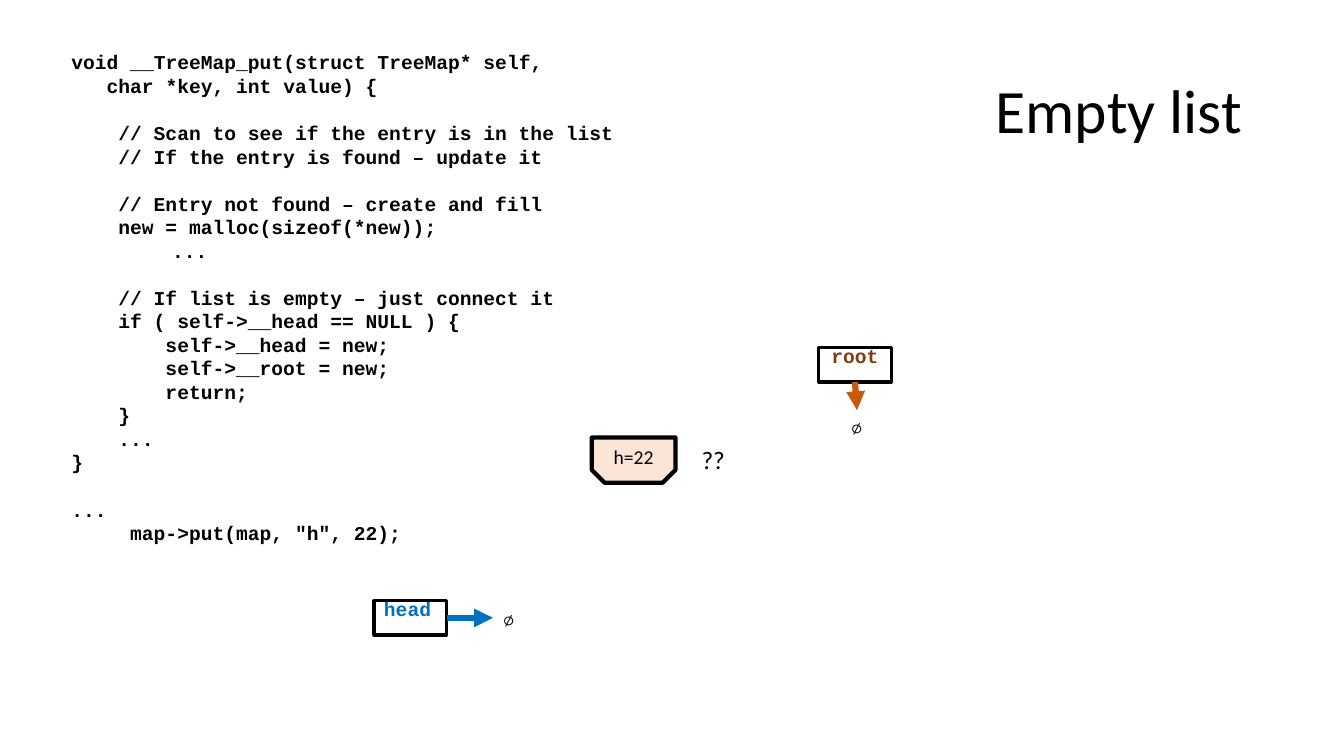
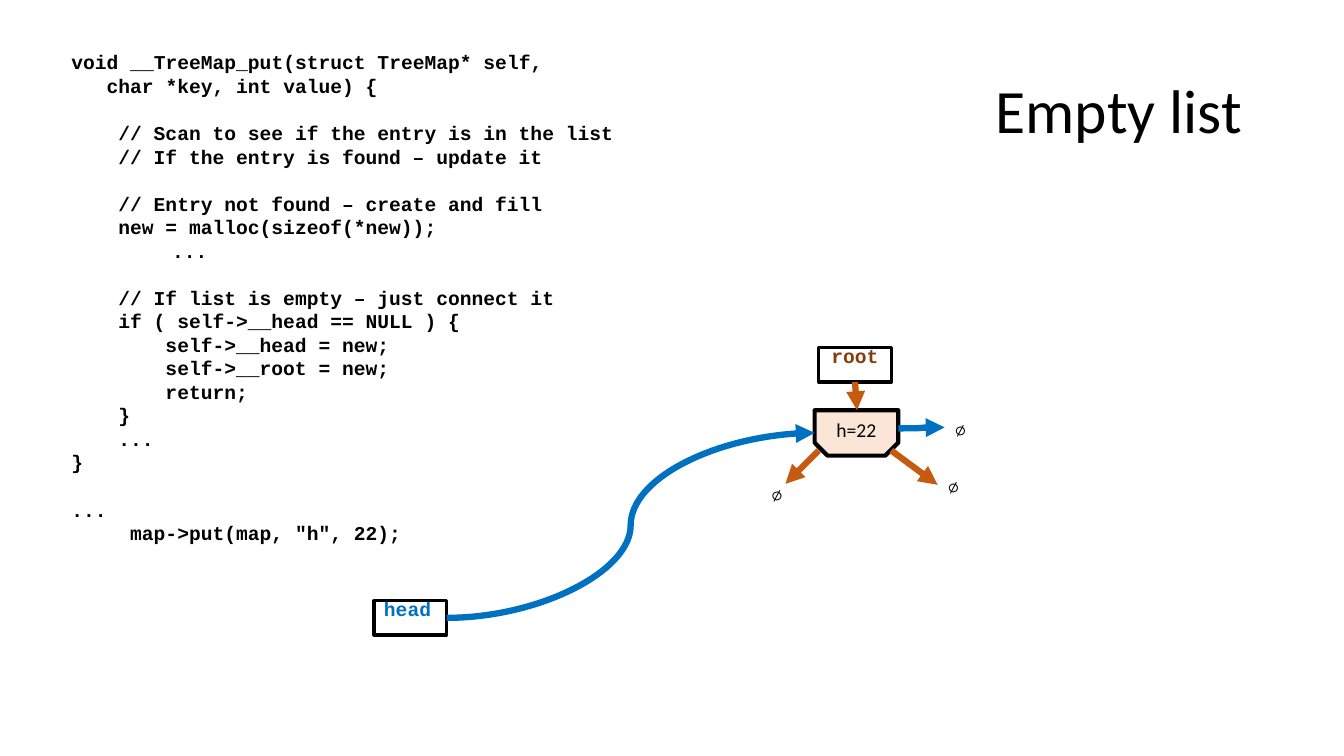
from lxml import etree
from pptx import Presentation
from pptx import util as u
from pptx.dml.color import RGBColor
from pptx.enum import shapes, text
from pptx.oxml.ns import qn

BLACK = RGBColor(0x00, 0x00, 0x00)
BLUE = RGBColor(0x00, 0x70, 0xC0)
ORANGE = RGBColor(0xC5, 0x5A, 0x11)
BROWN = RGBColor(0x84, 0x3C, 0x0B)
PEACH = RGBColor(0xFB, 0xE5, 0xD6)
SANS, MONO = "Calibri", "Courier New"
LEFT, CENTER, RIGHT = text.PP_ALIGN.LEFT, text.PP_ALIGN.CENTER, text.PP_ALIGN.RIGHT
TOP, MIDDLE = text.MSO_ANCHOR.TOP, text.MSO_ANCHOR.MIDDLE
STRAIGHT, CURVE = shapes.MSO_CONNECTOR.STRAIGHT, shapes.MSO_CONNECTOR.CURVE

TITLE = "Empty list"
CODE_SIZE = 14
CHAR = 0.6 * CODE_SIZE
LINE = 1.2 * CODE_SIZE
TAB = 72 / CHAR
CODE_BLOCKS = [
    [(0, "void __TreeMap_put(struct TreeMap* self,"),
     (3, "char *key, int value) {")],
    [(4, "// Scan to see if the entry is in the list"),
     (4, "// If the entry is found – update it")],
    [(4, "// Entry not found – create and fill"),
     (4, "new = malloc(sizeof(*new));"),
     (TAB, "...")],
    [(4, "// If list is empty – just connect it"),
     (4, "if ( self->__head == NULL ) {"),
     (8, "self->__head = new;"),
     (8, "self->__root = new;"),
     (8, "return;"),
     (4, "}"),
     (4, "..."),
     (0, "}")],
    [(0, "..."),
     (5, "map->put(map, \"h\", 22);")],
]

LABEL_W, LABEL_H = 0.72, 0.34
NODE_W, NODE_H = 0.83, 0.45
HEAD, ROOT = (3.71, 5.96), (8.12, 3.45)
HEAD_OUT = (HEAD[0] + LABEL_W, HEAD[1] + LABEL_H / 2)
ROOT_OUT = (ROOT[0] + LABEL_W / 2, ROOT[1] + LABEL_H)
ROOT_TIP = (8.5, 4.07)
NULL_W = 0.24
NULL_OFFSET = {"right": (0, -0.17), "left": (-NULL_W, -0.08), "below": (-0.16, -0.02)}

LOOSE = (5.87, 4.34)
LINKED = (8.08, 4.07)
LINKED_RIGHT = LINKED[0] + NODE_W
STATES = [
    {"node": LOOSE, "question": (6.86, 4.36),
     "pointers": [(CURVE, BLUE, HEAD_OUT, (4.89, 6.13), "right"),
                  (STRAIGHT, ORANGE, ROOT_OUT, ROOT_TIP, "below")]},
    {"node": LINKED,
     "pointers": [(CURVE, BLUE, HEAD_OUT, (LINKED[0], LINKED[1] + NODE_H / 2), None),
                  (STRAIGHT, ORANGE, ROOT_OUT, ROOT_TIP, None),
                  (CURVE, BLUE, (LINKED_RIGHT, 4.25), (9.37, 4.24), "right"),
                  (STRAIGHT, ORANGE, (8.84, 4.47), (9.3, 4.81), "right"),
                  (STRAIGHT, ORANGE, (8.12, 4.47), (7.79, 4.8), "left")]},
]


def inches(*lengths):
    return [u.Inches(length) for length in lengths]


def write(paragraph, words, font, size, color=BLACK, bold=False, align=LEFT):
    paragraph.alignment = align
    run = paragraph.add_run()
    run.text = words
    run.font.name, run.font.size, run.font.bold = font, u.Pt(size), bold
    run.font.color.rgb = color


def add_box(slide, kind, at, size, width):
    box = slide.shapes.add_shape(kind, *inches(*at, *size))
    box.shadow.inherit = False
    box.fill.background()
    box.line.color.rgb = BLACK
    box.line.width = u.Pt(width)
    return box


def add_label(slide, at, words, color, align):
    label = add_box(slide, shapes.MSO_SHAPE.RECTANGLE, at, (LABEL_W, LABEL_H), 2.25)
    frame = label.text_frame
    frame.vertical_anchor = TOP
    frame.margin_top = frame.margin_bottom = 0
    frame.paragraphs[0].line_spacing = 0.85
    write(frame.paragraphs[0], words, MONO, 14, color, True, align)


def add_node(slide, at):
    node = add_box(slide, shapes.MSO_SHAPE.SNIP_2_SAME_RECTANGLE, at, (NODE_W, NODE_H), 3)
    node.adjustments[0], node.adjustments[1] = 0, 0.286
    node.fill.solid()
    node.fill.fore_color.rgb = PEACH
    node.text_frame.vertical_anchor = MIDDLE
    write(node.text_frame.paragraphs[0], "h=22", SANS, 14, align=CENTER)


def add_text(slide, at, size, wrap=True, anchor=TOP):
    frame = slide.shapes.add_textbox(*inches(*at, *size)).text_frame
    frame.word_wrap = wrap
    frame.vertical_anchor = anchor
    return frame


def add_pointer(slide, kind, color, start, tip, null_side):
    pointer = slide.shapes.add_connector(kind, *inches(*start, *tip))
    pointer.line.color.rgb = color
    pointer.line.width = u.Pt(4.5)
    properties = pointer._element.spPr
    etree.SubElement(properties.find(qn("a:ln")), qn("a:tailEnd"), type="triangle")
    etree.SubElement(properties, qn("a:effectLst"))
    if null_side:
        dx, dy = NULL_OFFSET[null_side]
        null = add_text(slide, (tip[0] + dx, tip[1] + dy), (NULL_W, LABEL_H), anchor=MIDDLE)
        write(null.paragraphs[0], "∅", MONO, 14)


def add_code(slide):
    frame = add_text(slide, (0.61, 0.45), (5.74, 5.05))
    for block_number, block in enumerate(CODE_BLOCKS):
        for line_number, (indent, words) in enumerate(block):
            first = block_number == line_number == 0
            paragraph = frame.paragraphs[0] if first else frame.add_paragraph()
            paragraph.line_spacing = u.Pt(LINE)
            if line_number == 0 and not first:
                paragraph.space_before = u.Pt(LINE)
            paragraph._p.get_or_add_pPr().set("marL", str(u.Pt(indent * CHAR)))
            write(paragraph, words, MONO, CODE_SIZE, bold=True)


def set_up_layout(deck):
    layout = deck.slide_layouts.get_by_name("Title Only")
    title = layout.placeholders[0]
    title.left, title.top, title.width, title.height = inches(0.92, 0.4, 11.5, 1.45)
    title.text_frame.vertical_anchor = MIDDLE
    return layout


def add_state(deck, layout, state):
    slide = deck.slides.add_slide(layout)
    heading = slide.shapes.title.text_frame.paragraphs[0]
    heading.line_spacing = 0.9
    write(heading, TITLE, SANS, 44, align=RIGHT)
    add_code(slide)
    add_label(slide, HEAD, "head", BLUE, LEFT)
    add_label(slide, ROOT, "root", BROWN, CENTER)
    add_node(slide, state["node"])
    for pointer in state["pointers"]:
        add_pointer(slide, *pointer)
    if "question" in state:
        question = add_text(slide, state["question"], (0.44, 0.4), wrap=False)
        write(question.paragraphs[0], "??", SANS, 18)


def main():
    deck = Presentation()
    deck.slide_width, deck.slide_height = inches(13.33, 7.5)
    layout = set_up_layout(deck)
    for state in STATES:
        add_state(deck, layout, state)
    deck.save("out.pptx")


if __name__ == "__main__":
    main()
